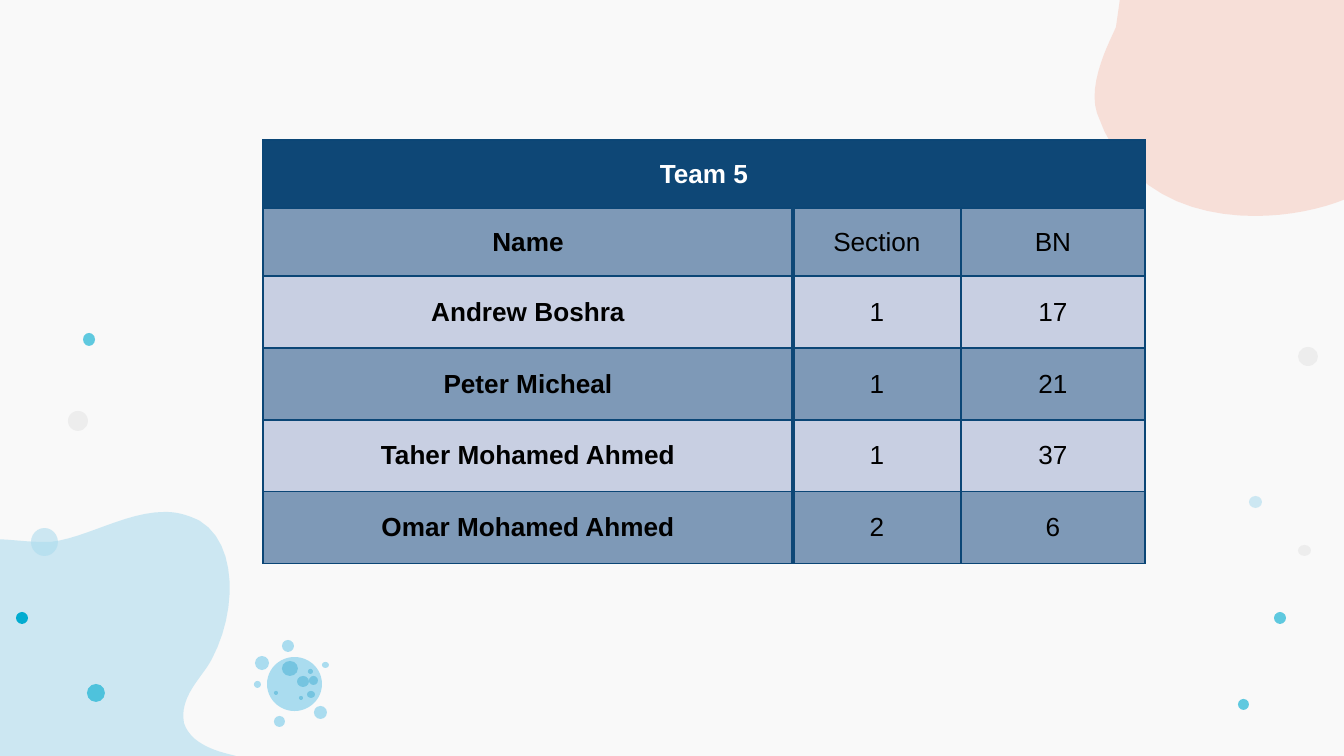
from lxml import etree
from pptx import Presentation
from pptx import util as u
from pptx.dml.color import RGBColor
from pptx.enum import shapes, text
from pptx.oxml import ns

PX = 914400 / 134.4
STEPS = 12

PAPER = RGBColor(0xF9, 0xF9, 0xF9)
PEACH = RGBColor(0xF5, 0xAD, 0x9A)
SKY = RGBColor(0xAA, 0xDB, 0xEE)
TEAL = RGBColor(0x02, 0xAC, 0xD0)
GREY = RGBColor(0xED, 0xED, 0xED)
CELL = RGBColor(0xAA, 0xDC, 0xEF)
SPOT = RGBColor(0x75, 0xC4, 0xE0)
NAVY = RGBColor(0x0E, 0x47, 0x76)
EDGE = RGBColor(0x0B, 0x46, 0x76)
STEEL = RGBColor(0x7E, 0x99, 0xB7)
PALE = RGBColor(0xC8, 0xCF, 0xE2)
WHITE = RGBColor(0xFF, 0xFF, 0xFF)
BLACK = RGBColor(0, 0, 0)

CORAL_START = (1195, -79)
CORAL = [
    (1188, -79, 1181, -78, 1176, -77), (1148, -71, 1125, -50, 1122, -19),
    (1121, -7, 1118, 13, 1116, 27), (1111, 39, 1087, 83, 1097, 113),
    (1124, 192, 1192, 216, 1255, 216), (1306, 216, 1353, 200, 1370, 185),
    (1400, 160, 1439, 89, 1445, 74), (1450, 60, 1452, 46, 1450, 30),
    (1449, 11, 1441, -9, 1426, -24), (1409, -42, 1384, -48, 1359, -48),
    (1352, -48, 1345, -47, 1340, -47), (1328, -44, 1319, -42, 1308, -42),
    (1306, -42, 1304, -42, 1302, -42), (1284, -44, 1267, -55, 1250, -65),
    (1233, -74, 1214, -79, 1195, -79),
]
POOL_START = (165, 512)
POOL = [
    (126, 512, 86, 538, 51, 542), (48, 542, 46, 542, 42, 542),
    (26, 542, 7, 539, -12, 539), (-40, 539, -67, 544, -85, 575),
    (-122, 640, -191, 634, -191, 692), (-191, 743, -134, 758, -134, 855),
    (-134, 855, 195, 855, 195, 855), (243, 855, 267, 837, 269, 806),
    (271, 781, 255, 759, 228, 754), (212, 750, 190, 742, 184, 723),
    (179, 696, 203, 677, 212, 659), (237, 612, 238, 544, 200, 521),
    (188, 515, 177, 512, 165, 512),
]
DOTS = [
    (SKY, 57, [(31, 528, 27, 28), (1249, 496, 13, 12)]),
    (TEAL, 62, [(87, 684, 18, 18), (83, 333, 12, 13),
                (1238, 699, 11, 11), (1274, 612, 12, 12)]),
    (GREY, 100, [(1298, 545, 13, 11), (68, 411, 20, 20),
                 (1298, 347, 20, 19)]),
    (TEAL, 100, [(16, 612, 12, 12)]),
    (CELL, 100, [(282, 640, 12, 12), (274, 716, 11, 11),
                 (255, 656, 14, 14), (314, 706, 13, 13), (322, 662, 7, 6),
                 (254, 681, 7, 7), (267, 657, 55, 54)]),
    (SPOT, 100, [(282, 661, 16, 15), (309, 676, 9, 9), (308, 669, 5, 5),
                 (297, 676, 12, 11), (307, 691, 8, 7), (274, 691, 4, 4),
                 (299, 696, 4, 4)]),
]
COLS = [530, 168, 184]
ROWS = [68, 68, 72, 72, 72, 72]
TEAM = [
    ("Team 5", "", ""),
    ("Name", "Section", "BN"),
    ("Andrew Boshra", "1", "17"),
    ("Peter Micheal", "1", "21"),
    ("Taher Mohamed Ahmed", "1", "37"),
    ("Omar Mohamed Ahmed", "2", "6"),
]


def px(n):
    """Turn px into EMU."""
    return u.Emu(round(n * PX))


def put(obj, vals):
    """Set attributes from a dict of format values."""
    for key, val in vals.items():
        setattr(obj, key, val)


def paint(shape, color, alpha):
    """Fill a shape with a colour at a percent opacity, without a line."""
    shape.shadow.inherit = False
    shape.line.fill.background()
    shape.fill.solid()
    shape.fill.fore_color.rgb = color
    if alpha < 100:
        tone = shape.fill._xPr.find(".//" + ns.qn("a:srgbClr"))
        etree.SubElement(tone, ns.qn("a:alpha"), val=str(alpha * 1000))


def trace(start, curves):
    """List the points along a chain of cubic curves."""
    pts = []
    for a, b, c, d, e, f in curves:
        for i in range(1, STEPS + 1):
            t = i / STEPS
            s = 1 - t
            mix = (s ** 3, 3 * s * s * t, 3 * s * t * t, t ** 3)
            pts.append(tuple(
                sum(m * v for m, v in zip(mix, axis)) * PX
                for axis in ((start[0], a, c, e), (start[1], b, d, f))))
        start = (e, f)
    return pts


def add_blob(slide, start, curves, color, alpha):
    """Draw a soft closed outline."""
    pen = slide.shapes.build_freeform(px(start[0]), px(start[1]))
    pen.add_line_segments(trace(start, curves), close=True)
    paint(pen.convert_to_shape(), color, alpha)


def add_dot(slide, box, color, alpha):
    """Draw an oval."""
    oval = slide.shapes.add_shape(shapes.MSO_SHAPE.OVAL, *map(px, box))
    paint(oval, color, alpha)


def add_edge(cell, spot, side, color, width):
    """Add one border to a cell."""
    line = etree.Element(ns.qn("a:ln" + side), w=str(u.Pt(width)))
    fill = etree.SubElement(line, ns.qn("a:solidFill"))
    etree.SubElement(fill, ns.qn("a:srgbClr"), val=str(color))
    cell._tc.get_or_add_tcPr().insert(spot, line)


def style_cell(cell, row, col, words):
    """Write and format one cell."""
    put(cell, {"text": words, "vertical_anchor": text.MSO_ANCHOR.MIDDLE,
               "margin_left": px(4), "margin_right": px(4),
               "margin_top": px(3), "margin_bottom": px(3)})
    para = cell.text_frame.paragraphs[0]
    para.alignment = text.PP_ALIGN.CENTER
    put(para.font, {"size": u.Pt(14), "name": "Arial", "bold": col == 0})
    for run in para.runs:
        put(run.font, {"size": u.Pt(14), "name": "Arial", "bold": col == 0})
        run.font.color.rgb = BLACK if row else WHITE
    cell.fill.solid()
    cell.fill.fore_color.rgb = (STEEL if row % 2 else PALE) if row else NAVY
    for spot, side in enumerate("LRTB"):
        thick = row and (col, side) in ((0, "R"), (1, "L"))
        add_edge(cell, spot, side, NAVY if thick else EDGE,
                 2 if thick else 0.75)


def add_team(slide):
    """Build the team table."""
    size = map(px, (263, 140, sum(COLS), sum(ROWS)))
    grid = slide.shapes.add_table(len(ROWS), len(COLS), *size).table
    put(grid, {"first_row": False, "horz_banding": False})
    for col, wide in zip(grid.columns, COLS):
        col.width = px(wide)
    for row, high in zip(grid.rows, ROWS):
        row.height = px(high)
    for r, line in enumerate(TEAM):
        for c, words in enumerate(line):
            style_cell(grid.cell(r, c), r, c, words)
    grid.cell(0, 0).merge(grid.cell(0, len(COLS) - 1))


def main():
    """Build and save the slide."""
    deck = Presentation()
    put(deck, {"slide_width": px(1344), "slide_height": px(756)})
    slide = deck.slides.add_slide(deck.slide_layouts[6])
    slide.background.fill.solid()
    slide.background.fill.fore_color.rgb = PAPER
    add_blob(slide, CORAL_START, CORAL, PEACH, 34)
    add_blob(slide, POOL_START, POOL, SKY, 57)
    for color, alpha, boxes in DOTS:
        for box in boxes:
            add_dot(slide, box, color, alpha)
    add_team(slide)
    deck.save("out.pptx")


if __name__ == "__main__":
    main()
